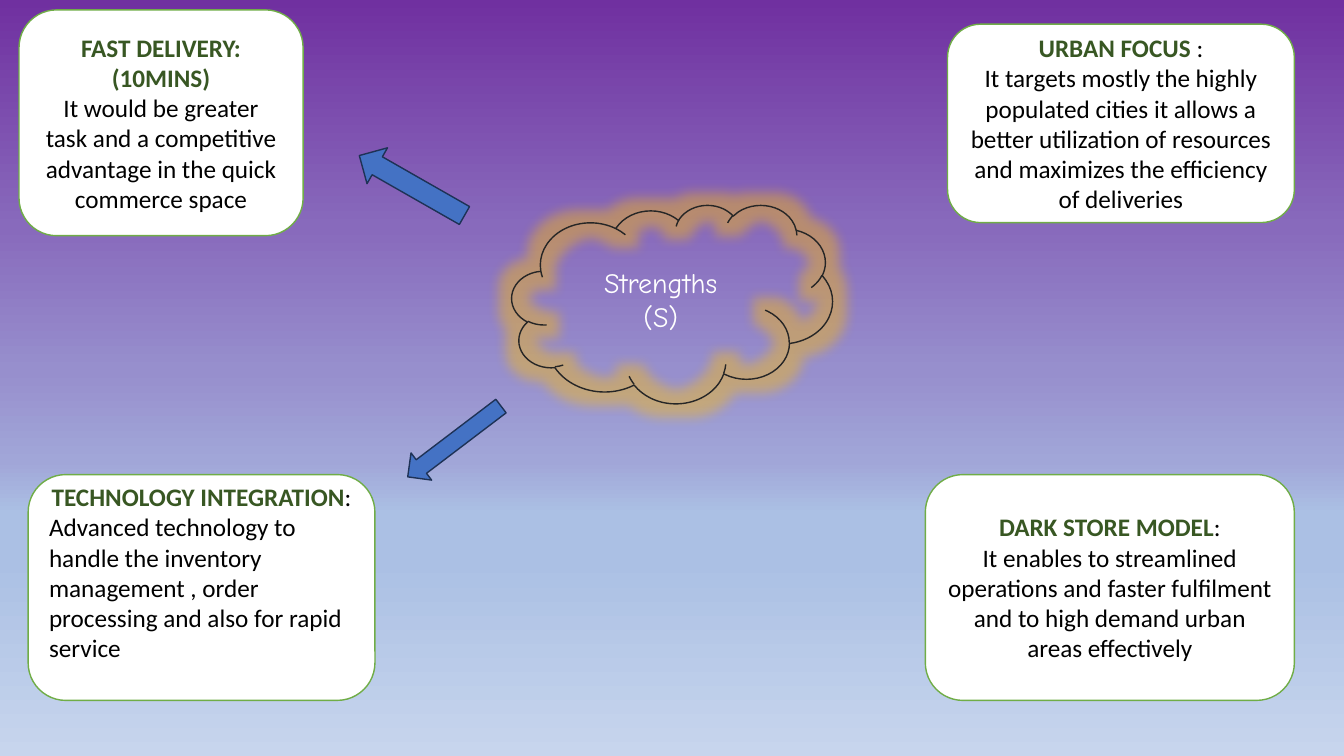
import pptx
import pptx.dml.color
import pptx.enum.dml
import pptx.enum.shapes
import pptx.enum.text
import pptx.oxml
import pptx.oxml.ns
import pptx.util
from lxml import etree

Cm = pptx.util.Cm
RGBColor = pptx.dml.color.RGBColor
KIND = pptx.enum.shapes.MSO_SHAPE
ALIGN = pptx.enum.text.PP_ALIGN
qn = pptx.oxml.ns.qn

WHITE = RGBColor(0xFF, 0xFF, 0xFF)
BLACK = RGBColor(0x00, 0x00, 0x00)
INK = RGBColor(0x26, 0x26, 0x26)
GREEN = RGBColor(0x70, 0xAD, 0x47)
FOREST = RGBColor(0x38, 0x57, 0x23)
BLUE = RGBColor(0x44, 0x72, 0xC4)
NAVY = RGBColor(0x1E, 0x32, 0x56)
GOLD = RGBColor(0xFF, 0xC0, 0x00)
SKY = [
    (0, RGBColor(0x70, 0x30, 0xA0)),
    (30, RGBColor(0x88, 0x6A, 0xBC)),
    (49, RGBColor(0x97, 0x8F, 0xCD)),
    (61, RGBColor(0xA1, 0xA6, 0xD8)),
    (68, RGBColor(0xAB, 0xC0, 0xE4)),
    (74, RGBColor(0xAB, 0xC0, 0xE4)),
    (100, RGBColor(0xC7, 0xD5, 0xED)),
]
CARDS = [
    ((0.48, 0.25, 7.16, 5.69), "FAST DELIVERY: (10MINS)", "",
     "It would be greater task and a competitive advantage in the quick "
     "commerce space", {}),
    ((0.71, 11.96, 8.74, 5.69), "TECHNOLOGY INTEGRATION", ":",
     "Advanced technology to handle the inventory management , order "
     "processing and also for rapid service",
     {"align": ALIGN.LEFT, "foot": 0.9}),
    ((23.32, 11.96, 9.3, 5.69), "DARK STORE MODEL", ":",
     "It enables to streamlined operations and faster fulfilment and to "
     "high demand urban areas effectively", {}),
    ((23.88, 0.61, 8.74, 5), "URBAN FOCUS ", ":",
     "It targets mostly the highly populated cities it allows a better "
     "utilization of resources and maximizes the efficiency of deliveries", {}),
]


def paint_sky(slide):
    """Fill the background with the vertical gradient."""
    fill = slide.background.fill
    fill.gradient()
    fill.gradient_angle = 270
    stops = next(slide.element.iter(qn("a:gsLst")))
    for stop in list(stops):
        stops.remove(stop)
    for place, color in SKY:
        stop = etree.SubElement(stops, qn("a:gs"), pos=str(place * 1000))
        etree.SubElement(stop, qn("a:srgbClr"), val=str(color))


def add_form(slide, kind, box, line, fill=None, turn=0):
    """Add a preset shape with a thin outline."""
    form = slide.shapes.add_shape(kind, *map(Cm, box))
    form.shadow.inherit = False
    form.rotation = turn
    form.line.color.rgb = line
    form.line.width = pptx.util.Pt(1)
    if fill is None:
        form.fill.background()
    else:
        form.fill.solid()
        form.fill.fore_color.rgb = fill
    return form


def add_glow(form, color):
    """Put a soft glow around a shape."""
    effects = next(form.element.iter(qn("a:effectLst")))
    glow = etree.SubElement(effects, qn("a:glow"), rad=str(Cm(0.64)))
    tint = etree.SubElement(glow, qn("a:srgbClr"), val=str(color))
    etree.SubElement(tint, qn("a:alpha"), val="40000")


def write(para, text, size=18, face="Calibri", color=BLACK, bold=False,
          align=ALIGN.CENTER):
    """Add a run of text to a paragraph."""
    para.alignment = align
    run = para.add_run()
    run.text = text
    run.font.size = pptx.util.Pt(size)
    run.font.name = face
    run.font.bold = bold
    run.font.color.rgb = color


def add_card(slide, box, head, mark, body, align=ALIGN.CENTER, foot=0.13):
    """Add a rounded card with a heading and its text."""
    frame = add_form(slide, KIND.ROUNDED_RECTANGLE, box, GREEN, WHITE).text_frame
    frame.margin_bottom = Cm(foot)
    title = frame.paragraphs[0]
    write(title, head, color=FOREST, bold=True)
    if mark:
        write(title, mark)
    write(frame.add_paragraph(), body, align=align)


def add_cloud(slide):
    """Add the glowing cloud in the middle."""
    cloud = add_form(slide, KIND.CLOUD, (12.9, 5.16, 8.08, 5), INK)
    add_glow(cloud, GOLD)
    frame = cloud.text_frame
    look = {"size": 20, "face": "Comic Neue", "color": WHITE}
    write(frame.paragraphs[0], "Strengths", **look)
    write(frame.add_paragraph(), "(S)", **look)


def main():
    """Build and save the slide."""
    deck = pptx.Presentation()
    deck.slide_width, deck.slide_height = Cm(33.87), Cm(19.05)
    slide = deck.slides.add_slide(deck.slide_layouts[6])
    paint_sky(slide)
    add_cloud(slide)
    for box, turn in [((9.86, 3.15, 1.04, 3.05), 119.7),
                      ((11.02, 9.65, 0.86, 2.95), 52.8)]:
        add_form(slide, KIND.DOWN_ARROW, box, NAVY, BLUE, turn)
    for box, head, mark, body, style in CARDS:
        add_card(slide, box, head, mark, body, **style)
    deck.save("out.pptx")


if __name__ == "__main__":
    main()
